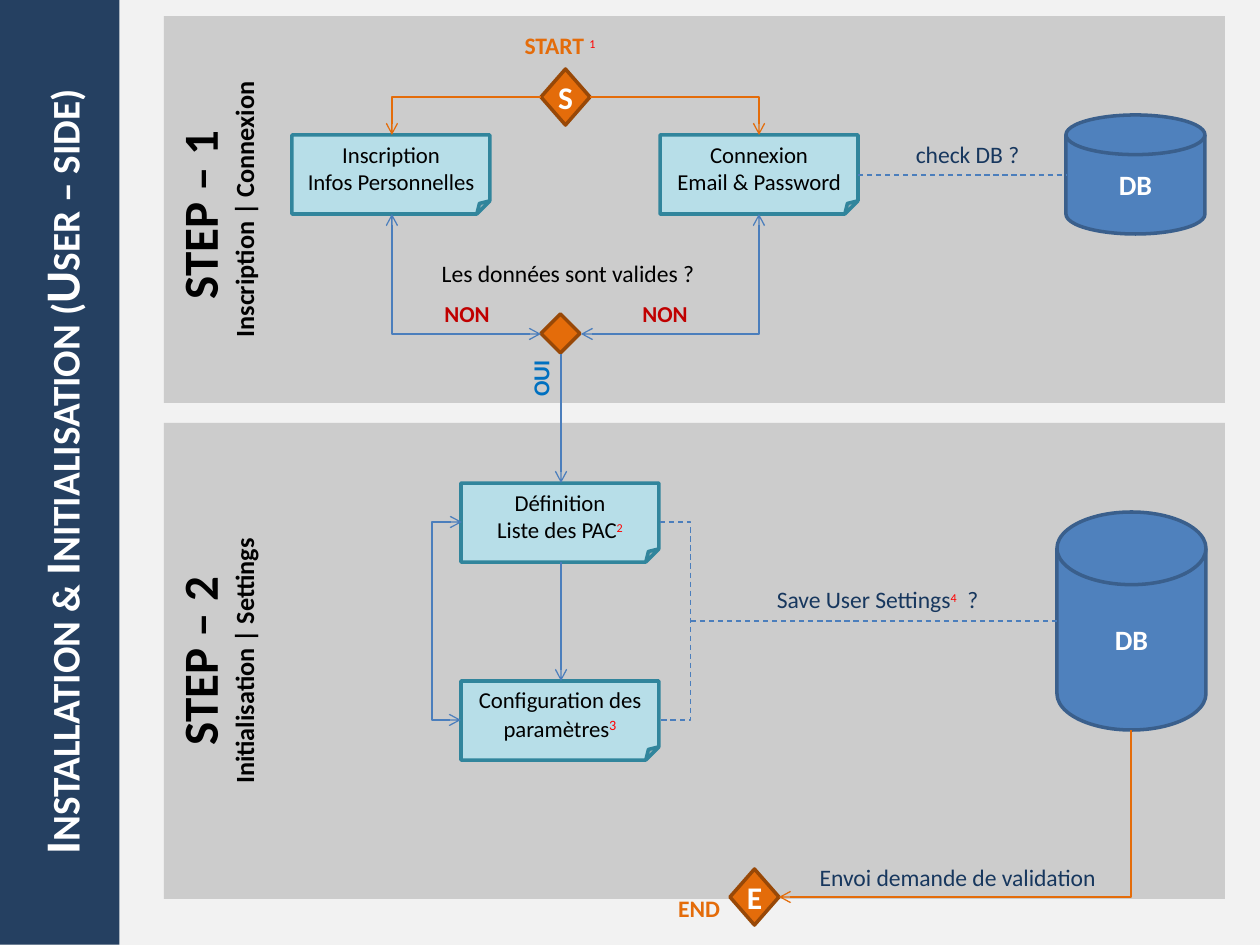
from pptx import Presentation
from pptx.dml.color import RGBColor
from pptx.enum.dml import MSO_LINE_DASH_STYLE as Dash
from pptx.enum.shapes import MSO_CONNECTOR as Connector, MSO_SHAPE as Shape
from pptx.enum.text import MSO_ANCHOR as Anchor, MSO_AUTO_SIZE as AutoSize, PP_ALIGN as Align
from pptx.oxml.ns import qn
from pptx.util import Emu, Pt
from lxml.etree import SubElement

PX_PER_INCH = 126
FONT = "Calibri"
COLORS = {
    "background": "F2F2F2", "panel": "BFBFBF", "banner": "254061",
    "card": "B7DEE8", "card_edge": "31859C",
    "diamond": "E46C0A", "diamond_edge": "984807",
    "database": "4F81BD", "database_edge": "3A5F8C",
    "flow": "4B7EBC", "question": "17375E", "yes": "0070C0", "no": "C00000",
    "note": "FF0000", "black": "000000", "white": "FFFFFF",
}
CARD_SIZE = (198, 79)
DIAMOND_SIZE = (49, 56)


def px(value):
    return Emu(round(value * 914400 / PX_PER_INCH))


def rgb(name):
    return RGBColor.from_string(COLORS[name])


def fill_solid(target, color):
    target.fill.solid()
    target.fill.fore_color.rgb = rgb(color)


def write(shape, lines, sizes, color, bold=False, anchor=Anchor.TOP, note_size=12):
    """Write centred lines; the parts between ^ marks are raised note numbers."""
    frame = shape.text_frame
    frame.word_wrap = True
    frame.vertical_anchor = anchor
    frame.text = "\n".join(line.replace("^", "") for line in lines)
    for para, line, size in zip(frame.paragraphs, lines, sizes):
        para.alignment = Align.CENTER
        parts = line.split("^")
        para.runs[0].text = parts[0]
        for part in parts[1:]:
            para.add_run().text = part
        for index, span in enumerate(para.runs):
            is_note = index % 2 == 1
            font = span.font
            font.name = FONT
            font.size = Pt(note_size if is_note else size)
            font.bold = bold and not is_note
            font.color.rgb = rgb("note" if is_note else color)
            if is_note:
                font._element.set("baseline", "30000")


def set_margins(shape, left=0, top=0, right=0, bottom=0):
    frame = shape.text_frame
    frame.margin_left, frame.margin_right = px(left), px(right)
    frame.margin_top, frame.margin_bottom = px(top), px(bottom)


def add_block(page, kind, left, top, size, fill, edge=None):
    shape = page.shapes.add_shape(kind, px(left), px(top), px(size[0]), px(size[1]))
    shape.shadow.inherit = False
    fill_solid(shape, fill)
    if edge:
        shape.line.color.rgb = rgb(edge)
        shape.line.width = Pt(2)
    else:
        shape.line.fill.background()
    return shape


def add_panel(page, top, height, heading, subheading):
    panel = add_block(page, Shape.RECTANGLE, 164, top, (1061, height), "panel")
    color = panel.fill._xPr.find(qn("a:solidFill"))[0]
    SubElement(color, qn("a:alpha"), val="74000")
    write(panel, [heading, subheading], [28, 15], "black", bold=True)
    set_margins(panel, left=5, right=13)
    panel.text_frame._txBody.bodyPr.set("vert", "vert270")


def add_card(page, left, top, lines, note_size=12):
    card = add_block(page, Shape.FOLDED_CORNER, left, top, CARD_SIZE, "card", "card_edge")
    write(card, lines, [13] * len(lines), "black", anchor=Anchor.MIDDLE, note_size=note_size)


def add_diamond(page, left, top, size=DIAMOND_SIZE, letter=None):
    diamond = add_block(page, Shape.DIAMOND, left, top, size, "diamond", "diamond_edge")
    if letter:
        write(diamond, [letter], [18], "white", True, Anchor.MIDDLE)
        set_margins(diamond)


def add_database(page, left, top, size):
    disk = add_block(page, Shape.FLOWCHART_MAGNETIC_DISK, left, top, size,
                     "database", "database_edge")
    write(disk, ["DB"], [16], "white", True, Anchor.MIDDLE)


def add_label(page, left, top, width, text, color, size=13.5, bold=False, rotation=0):
    box = page.shapes.add_textbox(px(left), px(top), px(width), px(41))
    box.rotation = rotation
    write(box, [text], [size], color, bold)


def add_link(page, start, end, color="flow", arrows="", dashed=False,
             kind=Connector.STRAIGHT):
    """Draw a connector; arrows names its arrow ends, such as "head tail"."""
    link = page.shapes.add_connector(kind, *map(px, start + end))
    link.line.color.rgb = rgb(color)
    link.line.width = Pt(0.75)
    if dashed:
        link.line.dash_style = Dash.DASH
    for name in arrows.split():
        SubElement(link.line._get_or_add_ln(), qn(f"a:{name}End"), type="arrow")
    SubElement(link._element.spPr, qn("a:effectLst"))
    return link


def add_corner(page, start, end, **style):
    """One bend: across from start, then up or down to end."""
    link = add_link(page, start, end, kind=Connector.ELBOW, **style)
    link._element.spPr.find(qn("a:prstGeom")).set("prst", "bentConnector2")


def add_bracket(page, start, end, via, **style):
    """Two bends: across to x = via, along it, and back to end."""
    link = add_link(page, start, end, kind=Connector.ELBOW, **style)
    ratio = (via - start[0]) / (end[0] - start[0])
    geometry = link._element.spPr.find(qn("a:prstGeom"))
    guides = geometry.find(qn("a:avLst"))
    SubElement(guides, qn("a:gd"), name="adj1", fmla=f"val {round(ratio * 100000)}")


def add_banner(page):
    """A wide title turned upright about its centre, along the left edge."""
    length, thickness, left_edge = 945, 124, -5
    title = page.shapes.title
    shift = (length - thickness) // 2
    title.left, title.top = px(left_edge - shift), px(shift)
    title.width, title.height = px(length), px(thickness)
    title.rotation = 270
    fill_solid(title, "banner")
    write(title, ["Installation & Initialisation (User – side)"], [28], "white", bold=True)
    title.text_frame.auto_size = AutoSize.NONE
    set_margins(title, top=35)
    for span in title.text_frame.paragraphs[0].runs:
        span.font._element.set("cap", "small")


def add_step_one(page):
    add_panel(page, 16, 387, "STEP – 1 ", "Inscription | Connexion")
    add_card(page, 292, 135, ["Inscription", "Infos Personnelles"])
    add_card(page, 660, 135, ["Connexion", "Email & Password"])
    add_diamond(page, 541, 69, letter="S")
    add_diamond(page, 541, 314, (39, 39))
    add_database(page, 1066, 115, (139, 119))
    # Start to both cards, and the validity check back to them
    for start_x, check_x, card_x in ((541, 541, 392), (590, 581, 759)):
        add_corner(page, (start_x, 97), (card_x, 135), color="diamond", arrows="tail")
        add_corner(page, (check_x, 334), (card_x, 214), arrows="head tail")
    add_link(page, (858, 175), (1066, 175), dashed=True)
    # Labels
    add_label(page, 501, 25, 118, "START ^1", "diamond", bold=True)
    add_label(page, 392, 253, 357, "Les données sont valides ? ", "black")
    add_label(page, 789, 134, 357, "check DB ?", "question")
    for left in (423, 621):
        add_label(page, left, 294, 88, "NON", "no", 13, True)
    add_label(page, 497, 358, 88, "OUI", "yes", 13, True, 270)


def add_step_two(page):
    add_panel(page, 423, 476, "STEP – 2", "Initialisation | Settings")
    add_card(page, 461, 483, ["Définition", "Liste des PAC^2"])
    add_card(page, 461, 681, ["Configuration des paramètres^3"], note_size=14)
    add_database(page, 1057, 512, (149, 218))
    add_diamond(page, 730, 869, letter="E")
    # Flow down through the cards
    for top, bottom in ((354, 483), (562, 681)):
        add_link(page, (561, top), (561, bottom), arrows="tail")
    # Loop between the cards, and saving to the database
    add_bracket(page, (462, 522), (461, 720), 432, arrows="head tail")
    add_bracket(page, (660, 522), (661, 720), 691, dashed=True)
    add_link(page, (691, 621), (1057, 621), dashed=True)
    add_corner(page, (779, 897), (1131, 730), color="diamond", arrows="head")
    # Labels
    add_label(page, 699, 579, 357, "Save User Settings^4^  ?", "question")
    add_label(page, 779, 857, 357, "Envoi demande de validation", "question")
    add_label(page, 640, 888, 118, "END", "diamond", bold=True)


def main():
    deck = Presentation()
    deck.slide_width, deck.slide_height = px(1260), px(945)
    page = deck.slides.add_slide(deck.slide_layouts[5])
    fill_solid(page.background, "background")
    add_banner(page)
    add_step_one(page)
    add_step_two(page)
    deck.save("out.pptx")


if __name__ == "__main__":
    main()
